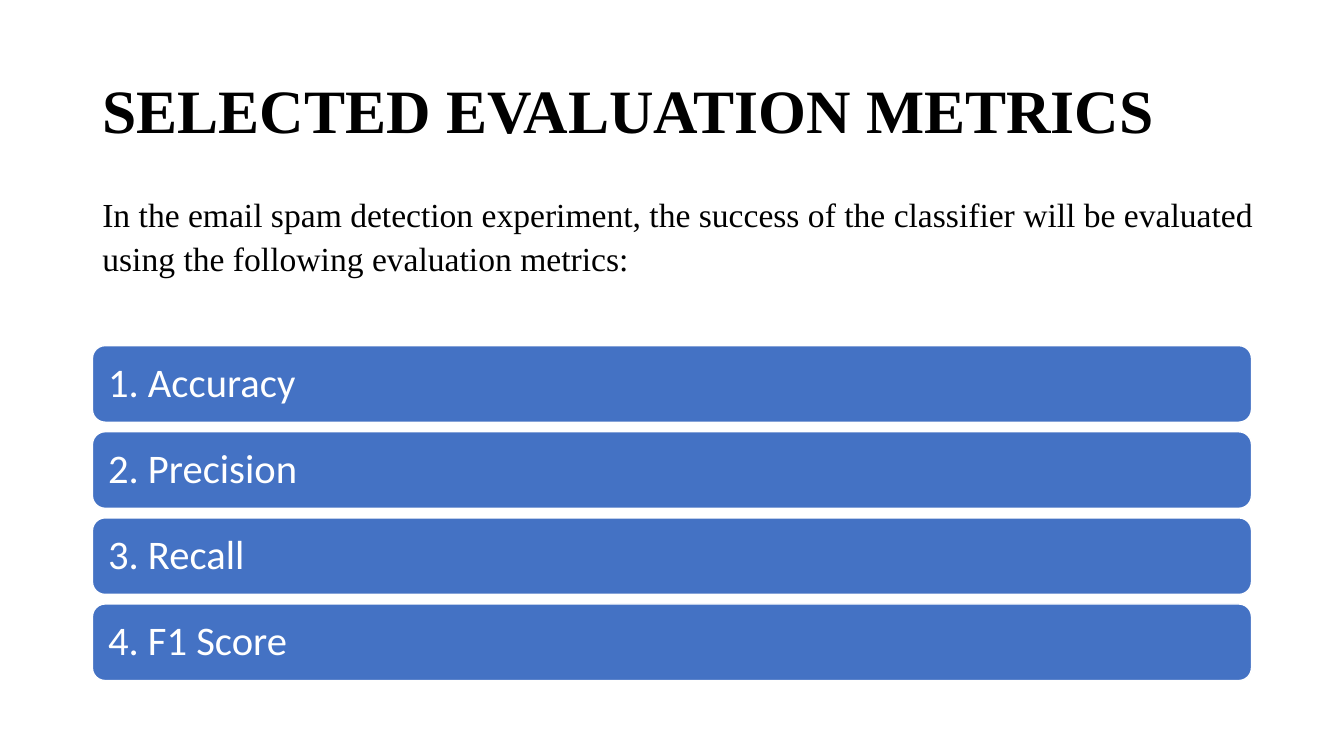
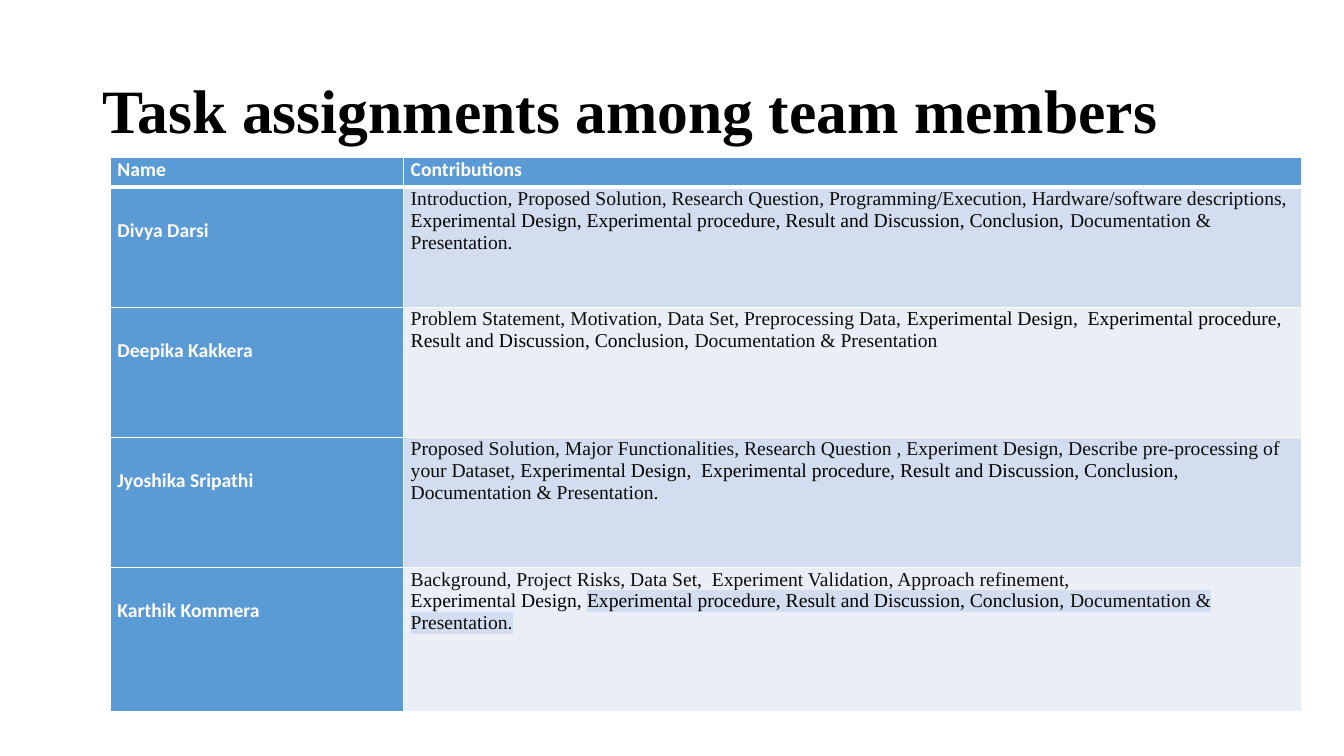
"""Build two slides: evaluation metrics and team task assignments."""
import dataclasses

import lxml.etree
import pptx
import pptx.dml.color
import pptx.enum.shapes
import pptx.enum.text
import pptx.oxml.ns
import pptx.util

Cm, Pt = pptx.util.Cm, pptx.util.Pt
rgb = pptx.dml.color.RGBColor.from_string
qn = pptx.oxml.ns.qn
ALIGN, ANCHOR = pptx.enum.text.PP_ALIGN, pptx.enum.text.MSO_ANCHOR


@dataclasses.dataclass(frozen=True)
class Theme:
    serif: str = "Times New Roman"
    sans: str = "Calibri"
    black: str = "000000"
    ink: str = "0D0D0D"
    white: str = "FFFFFF"
    bar: str = "4472C4"
    head: str = "5B9BD5"
    band_dark: str = "D2DEEF"
    band_light: str = "EAEFF7"
    title_size: float = 44
    body_size: float = 24
    bar_size: float = 29
    table_size: float = 14


T = Theme()


def write(p, text, size=T.table_size, font=T.serif, color=T.black, bold=False,
          highlight=None, spacing=None, align=ALIGN.LEFT):
    """Append a formatted run to a paragraph."""
    r = p.add_run()
    r.text = text
    r.font.size, r.font.name, r.font.bold = Pt(size), font, bold
    r.font.color.rgb = rgb(color)
    p.alignment = align
    if spacing:
        p.line_spacing = spacing
    if highlight:
        mark = lxml.etree.Element(qn("a:highlight"))
        lxml.etree.SubElement(mark, qn("a:srgbClr"), val=highlight)
        r.font.fill._xPr.find(qn("a:solidFill")).addnext(mark)


def style_cell(cell, fill, top, bottom, pad_top=0.03):
    """Set a cell's white borders, fill and margins."""
    tcPr = cell._tc.get_or_add_tcPr()
    for side, width in (("L", 1), ("R", 1), ("T", top), ("B", bottom)):
        ln = lxml.etree.SubElement(tcPr, qn("a:ln" + side), w=str(Pt(width)))
        solid = lxml.etree.SubElement(ln, qn("a:solidFill"))
        lxml.etree.SubElement(solid, qn("a:srgbClr"), val=T.white)
    cell.fill.solid()
    cell.fill.fore_color.rgb = rgb(fill)
    cell.margin_left = cell.margin_right = Cm(0.19)
    cell.margin_top, cell.margin_bottom = Cm(pad_top), Cm(0)


prs = pptx.Presentation()
prs.slide_width, prs.slide_height = Cm(33.87), Cm(19.05)
left, width = Cm(2.33), Cm(29.21)

slides = []
for title in ("SELECTED EVALUATION METRICS", "Task assignments among team members"):
    s = prs.slides.add_slide(prs.slide_layouts[6])
    tf = s.shapes.add_textbox(left, Cm(1.01), width, Cm(3.68)).text_frame
    tf.word_wrap = True
    tf.vertical_anchor = ANCHOR.MIDDLE
    write(tf.paragraphs[0], title, size=T.title_size, bold=True, spacing=0.9)
    slides.append(s)
metrics, tasks = slides

tf = metrics.shapes.add_textbox(left, Cm(4.7), Cm(30.23), Cm(3.33)).text_frame
tf.word_wrap = True
write(tf.paragraphs[0],
      "In the email spam detection experiment, the success of the classifier "
      "will be evaluated using the following evaluation metrics:",
      size=T.body_size, spacing=1.07)

for i, metric in enumerate(("Accuracy", "Precision", "Recall", "F1 Score")):
    sp = metrics.shapes.add_shape(pptx.enum.shapes.MSO_SHAPE.ROUNDED_RECTANGLE,
                                  left, Cm(8.71 + 2.17 * i), width, Cm(1.93))
    sp.shadow.inherit = False
    sp.fill.solid()
    sp.fill.fore_color.rgb = rgb(T.bar)
    sp.line.color.rgb = rgb(T.white)
    sp.line.width = Pt(1)
    tf = sp.text_frame
    tf.margin_left = tf.margin_right = tf.margin_top = tf.margin_bottom = Cm(0.3)
    tf.vertical_anchor = ANCHOR.MIDDLE
    write(tf.paragraphs[0], f"{i + 1}. {metric}", size=T.bar_size, font=T.sans,
          color=T.white, spacing=0.9)

members = [
    ("Divya Darsi", [[
        ("Introduction, Proposed Solution, Research Question, Programming/Execution, "
         "Hardware/software descriptions, ", T.ink, None),
        ("Experimental Design, Experimental procedure, Result and Discussion, "
         "Conclusion, ", T.black, None),
        ("Documentation & Presentation.", T.ink, None)]]),
    ("Deepika Kakkera", [[
        ("Problem Statement, Motivation, Data Set, Preprocessing Data, ", T.ink, None),
        ("Experimental Design,  Experimental procedure, Result and Discussion, "
         "Conclusion, ", T.black, None),
        ("Documentation & Presentation", T.ink, None)]]),
    ("Jyoshika Sripathi", [[
        ("Proposed Solution, Major Functionalities, Research Question , Experiment "
         "Design, Describe pre-processing of your Dataset, ", T.ink, None),
        ("Experimental Design,  Experimental procedure, Result and "
         "Discussion, Conclusion, ", T.black, None),
        ("Documentation & Presentation.", T.ink, None)]]),
    ("Karthik Kommera", [
        [("Background, Project Risks, Data Set,  Experiment Validation, "
          "Approach refinement,", T.ink, None)],
        [("Experimental Design, ", T.black, None),
         ("Experimental procedure, Result and Discussion, Conclusion, ",
          T.black, T.band_dark),
         ("Documentation & Presentation.", T.ink, T.band_dark)]]),
]

row_heights = (0.76, 3.02, 3.28, 3.28, 3.63)
col_widths = (7.39, 22.63)
table = tasks.shapes.add_table(len(row_heights), len(col_widths), Cm(2.77), Cm(3.96),
                               Cm(sum(col_widths)), Cm(sum(row_heights))).table
table.horz_banding = False
for row, height in zip(table.rows, row_heights):
    row.height = Cm(height)
for col, col_width in zip(table.columns, col_widths):
    col.width = Cm(col_width)

label = dict(font=T.sans, color=T.white, bold=True, align=ALIGN.JUSTIFY)
for cell, heading in zip(table.rows[0].cells, ("Name", "Contributions")):
    style_cell(cell, T.head, top=1, bottom=3)
    write(cell.text_frame.paragraphs[0], heading, **label)

for i, (name, paragraphs) in enumerate(members, start=1):
    name_cell, work_cell = table.rows[i].cells
    top = 3 if i == 1 else 1
    style_cell(name_cell, T.head, top, 1, pad_top=0.8)
    write(name_cell.text_frame.paragraphs[0], name, **label)
    style_cell(work_cell, T.band_dark if i % 2 else T.band_light, top, 1)
    tf = work_cell.text_frame
    for j, runs in enumerate(paragraphs):
        p = tf.add_paragraph() if j else tf.paragraphs[0]
        for text, color, highlight in runs:
            write(p, text, color=color, highlight=highlight)

prs.save("out.pptx")
